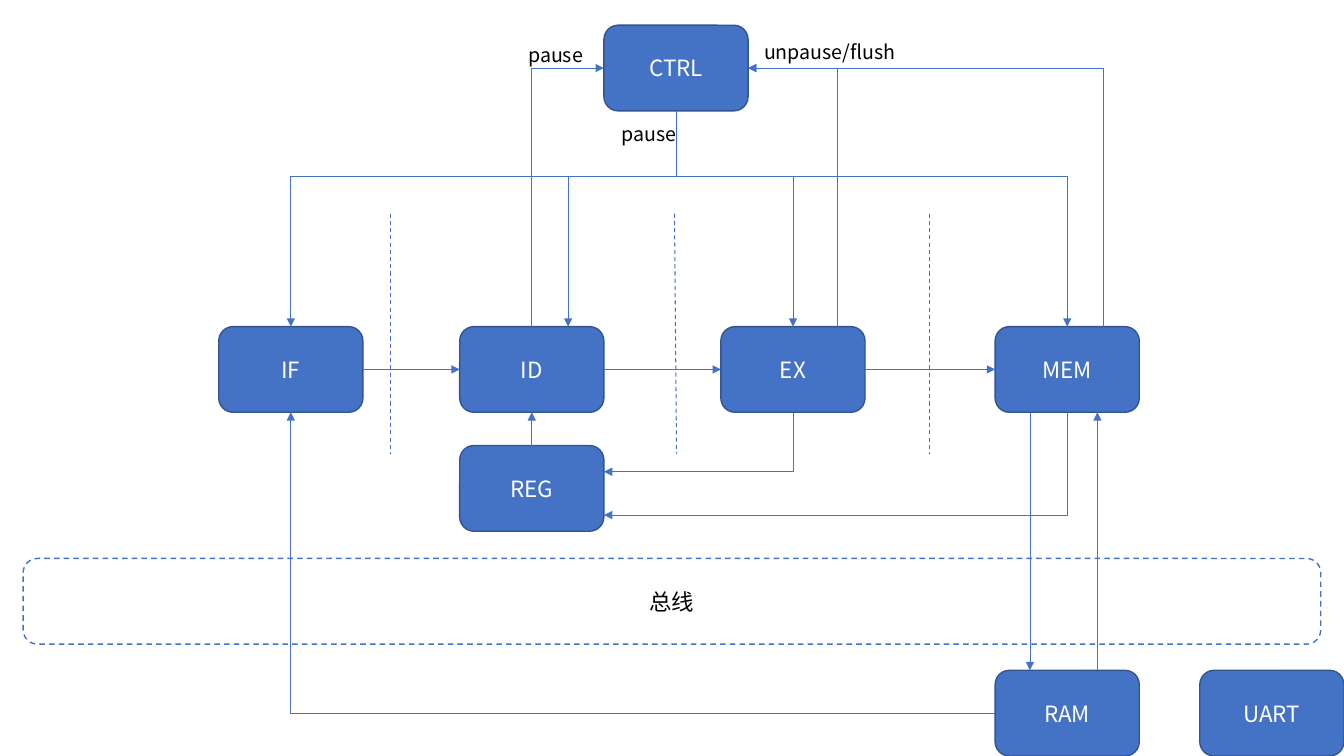
from lxml import etree
from pptx import Presentation
from pptx.dml.color import RGBColor
from pptx.enum.dml import MSO_LINE
from pptx.enum.shapes import MSO_CONNECTOR, MSO_SHAPE
from pptx.enum.text import MSO_ANCHOR, MSO_AUTO_SIZE, PP_ALIGN
from pptx.oxml.ns import qn
from pptx.util import Inches, Pt

ROUNDED = MSO_SHAPE.ROUNDED_RECTANGLE
STRAIGHT, ELBOW = MSO_CONNECTOR.STRAIGHT, MSO_CONNECTOR.ELBOW
DASH = MSO_LINE.DASH
CENTER, MIDDLE = PP_ALIGN.CENTER, MSO_ANCHOR.MIDDLE
GROW = MSO_AUTO_SIZE.SHAPE_TO_FIT_TEXT
BLUE, EDGE, WHITE, BLACK = "4472C4", "325491", "FFFFFF", "000000"
FONT = "Noto Sans CJK SC"
WIDTH, HEIGHT = 1.43, 0.85


def color(hex_text):
    return RGBColor.from_string(hex_text)


def write(box, text, size, hex_text, align):
    para = box.text_frame.paragraphs[0]
    para.alignment = align
    span = para.add_run()
    span.text = text
    for name, value in {"name": FONT, "size": Pt(size)}.items():
        setattr(span.font, name, value)
    span.font.color.rgb = color(hex_text)
    etree.SubElement(span.font._element, qn("a:ea"), typeface=FONT)


deck = Presentation()
deck.slide_width, deck.slide_height = Inches(13.33), Inches(7.5)
page = deck.slides.add_slide(deck.slide_layouts[6])

columns = {"IF": 2.17, "ID": 4.56, "CTRL": 5.99, "EX": 7.15, "MEM": 9.87, "UART": 11.9}
rows = {"control": 0.25, "stage": 3.24, "register": 4.42, "bus": 5.54, "device": 6.65}
middle = {name: left + WIDTH / 2 for name, left in columns.items()}
right = {name: left + WIDTH for name, left in columns.items()}
center = {name: top + HEIGHT / 2 for name, top in rows.items()}
bottom = {name: top + HEIGHT for name, top in rows.items()}

units = [
    ("总线", 0.23, "bus", 12.87, WHITE, BLUE, BLACK),
    ("CTRL", columns["CTRL"], "control", WIDTH, BLUE, EDGE, WHITE),
    ("REG", columns["ID"], "register", WIDTH, BLUE, EDGE, WHITE),
    ("RAM", columns["MEM"], "device", WIDTH, BLUE, EDGE, WHITE),
    ("UART", columns["UART"], "device", WIDTH, BLUE, EDGE, WHITE),
]
for stage in ("IF", "ID", "EX", "MEM"):
    units.append((stage, columns[stage], "stage", WIDTH, BLUE, EDGE, WHITE))

for text, left, row, width, fill, edge, ink in units:
    box = page.shapes.add_shape(
        ROUNDED, Inches(left), Inches(rows[row]), Inches(width), Inches(HEIGHT))
    box.shadow.inherit = False
    box.fill.solid()
    box.fill.fore_color.rgb = color(fill)
    box.line.color.rgb = color(edge)
    box.line.width = Pt(1)
    if row == "bus":
        box.line.dash_style = DASH
    box.text_frame.vertical_anchor = MIDDLE
    write(box, text, 16, ink, CENTER)

stage_top, stage_bottom = rows["stage"], bottom["stage"]
fork = (middle["CTRL"], 1.75)
ctrl_left = (columns["CTRL"], center["control"])
ctrl_right = (right["CTRL"], center["control"])
reg_upper = (right["ID"], rows["register"] + 0.26)
reg_lower = (right["ID"], rows["register"] + 0.69)
ram_left = (columns["MEM"], center["device"])
to_ram, from_ram = middle["MEM"] - 0.37, middle["MEM"] + 0.3

wires = [
    (STRAIGHT, (middle["CTRL"], bottom["control"]), fork, None),
    (STRAIGHT, (middle["ID"], rows["register"]), (middle["ID"], stage_bottom), "tail"),
    (STRAIGHT, (to_ram, stage_bottom), (to_ram, rows["device"]), "tail"),
    (STRAIGHT, (from_ram, rows["device"]), (from_ram, stage_bottom), "tail"),
    (ELBOW, ctrl_left, (middle["ID"], stage_top), "head"),
    (ELBOW, ctrl_right, (middle["EX"] + 0.44, stage_top), "head"),
    (ELBOW, ctrl_right, (middle["MEM"] + 0.36, stage_top), "head"),
    (ELBOW, reg_upper, (middle["EX"], stage_bottom), "head"),
    (ELBOW, reg_lower, (middle["MEM"], stage_bottom), "head"),
    (ELBOW, ram_left, (middle["IF"], stage_bottom), "tail"),
]
for source, target in (("IF", "ID"), ("ID", "EX"), ("EX", "MEM")):
    wires.append((STRAIGHT, (right[source], center["stage"]),
                  (columns[target], center["stage"]), "tail"))
for x in (middle["IF"], middle["ID"] + 0.36, middle["EX"], middle["MEM"]):
    wires.append((ELBOW, fork, (x, stage_top), "tail"))
for top_x, bottom_x in ((3.87, 3.87), (6.69, 6.71), (9.22, 9.22)):
    wires.append((STRAIGHT, (top_x, 2.12), (bottom_x, 4.5), "dash"))

for kind, start, end, mark in wires:
    wire = page.shapes.add_connector(kind, *(Inches(v) for v in start + end))
    properties = wire._element.spPr
    if kind == ELBOW:
        properties.find(qn("a:prstGeom")).set("prst", "bentConnector2")
    wire.line.color.rgb = color(BLUE)
    wire.line.width = Pt(0.75 if mark == "dash" else 0.5)
    if mark == "dash":
        wire.line.dash_style = DASH
    elif mark:
        etree.SubElement(properties.find(qn("a:ln")), qn(f"a:{mark}End"), type="triangle")
    etree.SubElement(properties, qn("a:effectLst"))

signals = [("pause", 5.14, 0.38, 0.76), ("unpause/flush", 7.48, 0.35, 1.54),
           ("pause", 6.07, 1.16, 0.76)]
for text, left, top, width in signals:
    box = page.shapes.add_textbox(Inches(left), Inches(top), Inches(width), Inches(0.34))
    for name, value in {"word_wrap": False, "auto_size": GROW}.items():
        setattr(box.text_frame, name, value)
    write(box, text, 14, BLACK, PP_ALIGN.LEFT)

deck.save("out.pptx")
